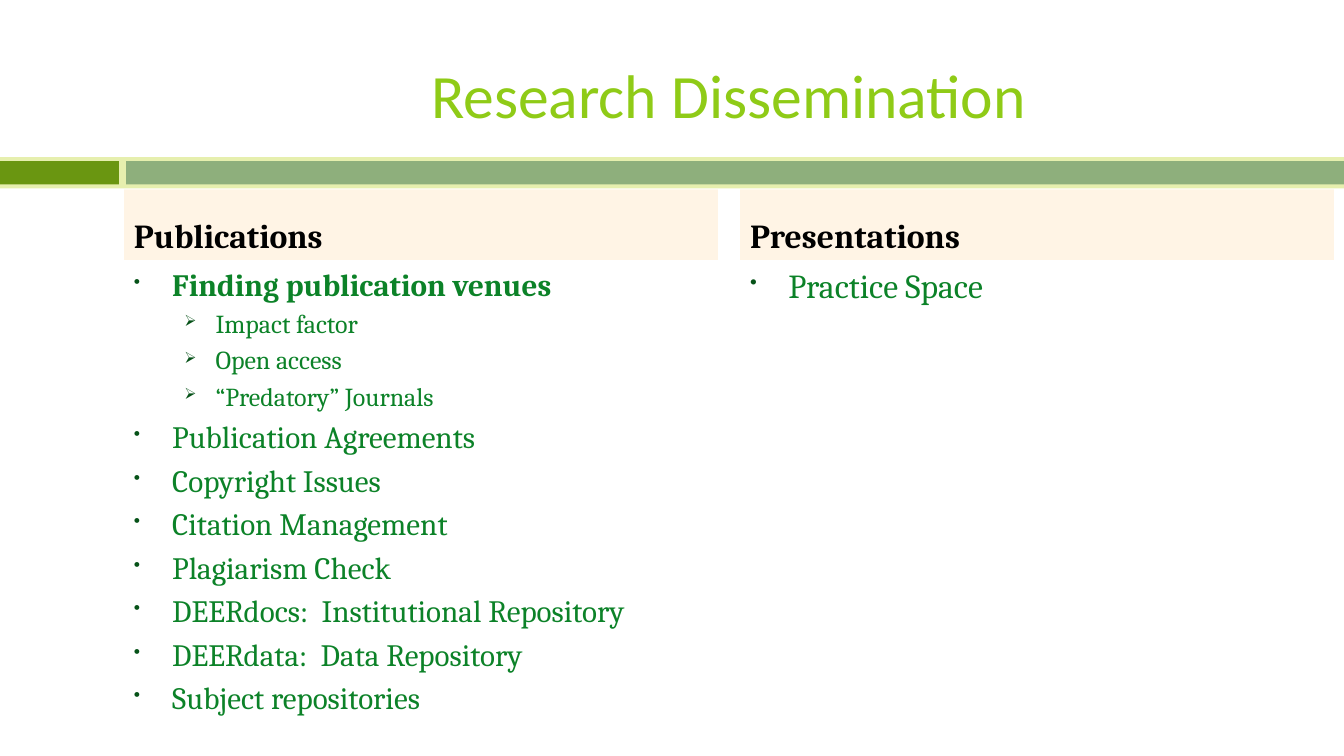
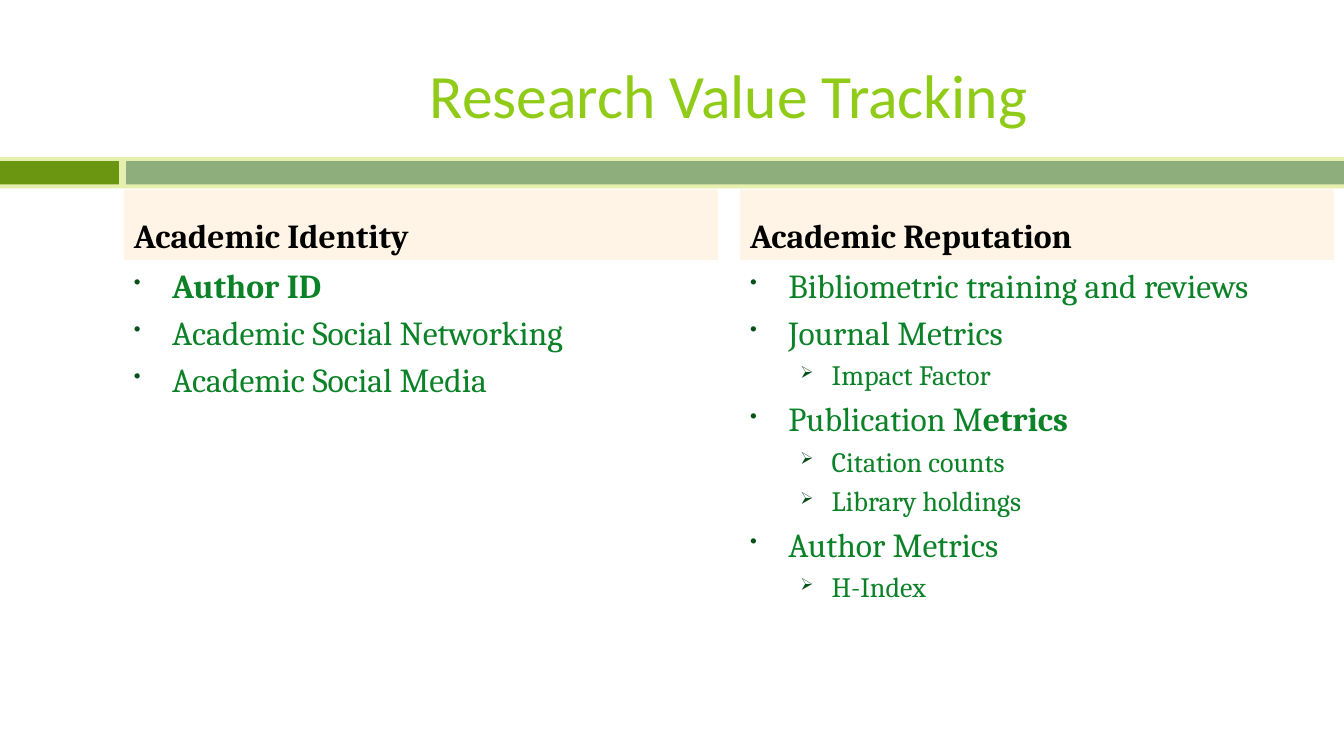
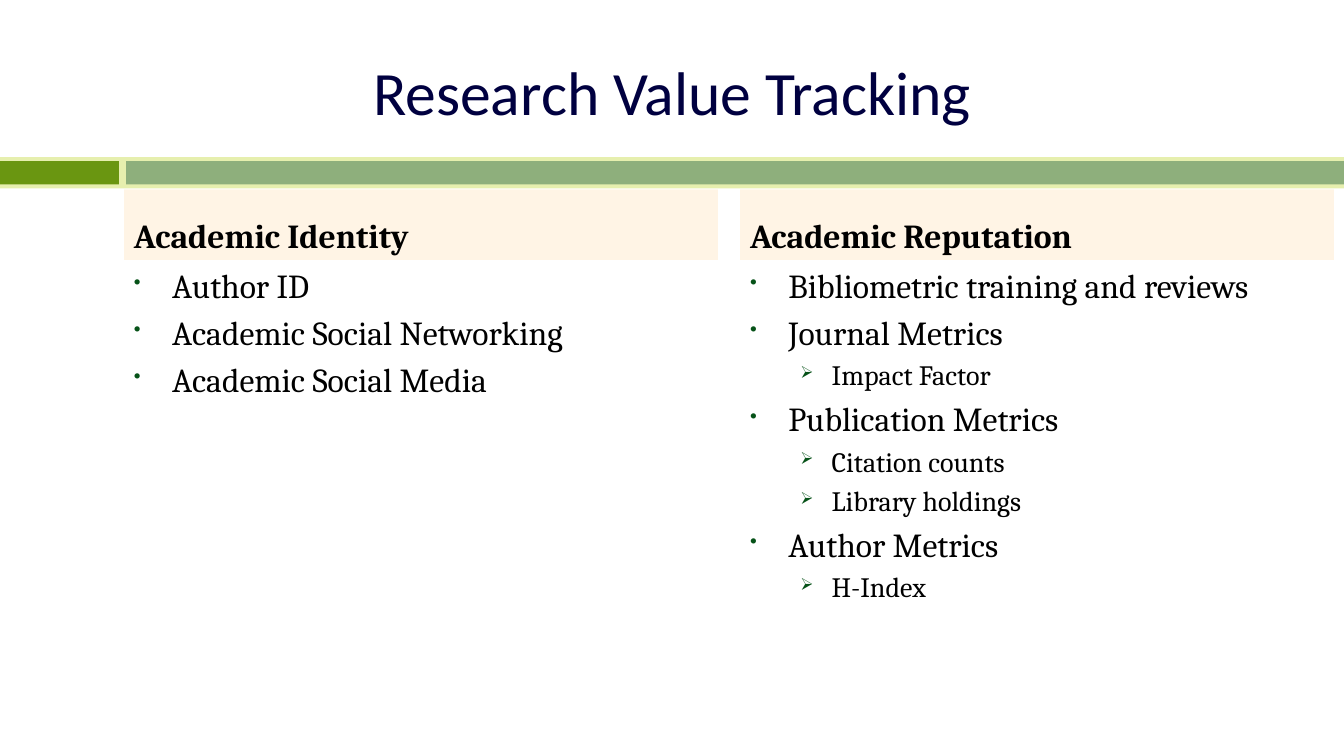
from lxml import etree
from pptx import Presentation
from pptx import util as u
from pptx.dml.color import RGBColor
from pptx.enum import shapes, text
from pptx.oxml.ns import qn

# Shared look
LIME, NAVY, GREEN, BLACK = "8FCB17", "000040", "0C8228", "000000"
PALE, OLIVE, SAGE, ORANGE, BULLET = "E6EFAE", "6A9611", "8EAF7C", "FF9900", "065218"
WIDTH, HEIGHT = 13.33, 7.5
LEFT, COLUMN, GUTTER = 1.23, 5.89, 0.22
BAND_TOP, HEAD_TOP, LIST_TOP = 1.56, 1.88, 2.58
BANDS = [(0, BAND_TOP, WIDTH, 0.31, PALE),
         (0, BAND_TOP + 0.04, 1.18, 0.23, OLIVE),
         (1.25, BAND_TOP + 0.04, WIDTH - 1.25, 0.23, SAGE)]
# For each list level: bullet, left indent, hanging indent
LEVELS = [("•", 0.38, 0.38), ("➢", 0.81, 0.31)]

# Content: ">" opens a second-level item, "**" switches bold on and off
REPUTATION = ["Bibliometric training and reviews", "Journal Metrics", ">Impact Factor",
              "Publication Metrics", ">Citation counts", ">Library holdings",
              "Author Metrics", ">H-Index"]
NETWORKS = ["Academic Social Networking", "Academic Social Media"]
PAGES = [
    # title, title left, title top, title colour, list colour,
    # columns of (heading, size of each level, items)
    ("Research Dissemination", LEFT, 0.31, LIME, GREEN, [
        ("Publications", (22.2, 18.5), [
            "**Finding publication venues", ">Impact factor", ">Open access",
            ">“Predatory” Journals", "Publication Agreements", "Copyright Issues",
            "Citation Management", "Plagiarism Check",
            "DEERdocs:  Institutional Repository", "DEERdata:  Data Repository",
            "Subject repositories"]),
        ("Presentations", (24, 20), ["Practice Space"])]),
    ("Research Value Tracking", LEFT, 0.31, LIME, GREEN, [
        ("Academic Identity", (24, 20), ["**Author ID"] + NETWORKS),
        ("Academic Reputation", (24, 20),
         [item.replace("Publication M", "Publication M**") for item in REPUTATION])]),
    ("Research Value Tracking", 0.67, 0.28, NAVY, BLACK, [
        ("Academic Identity", (24, 20), ["Author ID"] + NETWORKS),
        ("Academic Reputation", (24, 20), REPUTATION)]),
]


def paint(target, color):
    """Give a fill a solid colour."""
    target.solid()
    target.fore_color.rgb = RGBColor.from_string(color)


def write(para, words, size, face, color, bold=False):
    """Write the words as runs, switching bold at each double star."""
    for number, part in enumerate(words.split("**")):
        if part:
            span = para.add_run()
            span.text = part
            span.font.size, span.font.name = u.Pt(size), face
            span.font.bold = bold or number % 2 == 1
            paint(span.font.fill, color)


deck = Presentation()
deck.slide_width, deck.slide_height = u.Inches(WIDTH), u.Inches(HEIGHT)

for title, title_left, title_top, title_color, list_color, columns in PAGES:
    page = deck.slides.add_slide(deck.slide_layouts[6])

    # Bands, then the tinted heading panels
    panels = [(LEFT + n * (COLUMN + GUTTER), HEAD_TOP, COLUMN, 0.7, ORANGE)
              for n in range(len(columns))]
    blocks = []
    for *place, color in BANDS + panels:
        block = page.shapes.add_shape(shapes.MSO_SHAPE.RECTANGLE, *map(u.Inches, place))
        block.shadow.inherit = False
        block.line.fill.background()
        paint(block.fill, color)
        blocks.append(block)

    # Title
    box = page.shapes.add_textbox(*map(u.Inches, (title_left, title_top, 12, 1.25)))
    box.text_frame.word_wrap = True
    box.text_frame.vertical_anchor = text.MSO_ANCHOR.MIDDLE
    para = box.text_frame.paragraphs[0]
    para.alignment = text.PP_ALIGN.CENTER
    write(para, title, 44, "Calibri", title_color)

    for panel, (heading, sizes, items) in zip(blocks[len(BANDS):], columns):
        # Heading on a panel of ten per cent opacity
        tint = panel.fill._xPr.find(qn("a:solidFill"))[0]
        etree.SubElement(tint, qn("a:alpha"), val="10000")
        panel.text_frame.vertical_anchor = text.MSO_ANCHOR.BOTTOM
        para = panel.text_frame.paragraphs[0]
        para.alignment = text.PP_ALIGN.LEFT
        write(para, heading, 24, "Cambria", BLACK, bold=True)

        # Bulleted list
        box = page.shapes.add_textbox(panel.left, u.Inches(LIST_TOP), panel.width, u.Inches(4.59))
        frame = box.text_frame
        frame.word_wrap = True
        for number, item in enumerate(items):
            para = frame.paragraphs[0] if number == 0 else frame.add_paragraph()
            para.level = int(item.startswith(">"))
            bullet, indent, hanging = LEVELS[para.level]
            props = para._p.get_or_add_pPr()
            props.set("marL", str(u.Inches(indent)))
            props.set("indent", str(-u.Inches(hanging)))
            space = etree.SubElement(props, qn("a:spcBef"))
            etree.SubElement(space, qn("a:spcPct"), val="20000")
            shade = etree.SubElement(props, qn("a:buClr"))
            etree.SubElement(shade, qn("a:srgbClr"), val=BULLET)
            etree.SubElement(props, qn("a:buSzPct"), val="60000")
            etree.SubElement(props, qn("a:buChar"), char=bullet)
            write(para, item.lstrip(">"), sizes[para.level], "Cambria", list_color)

deck.save("out.pptx")
